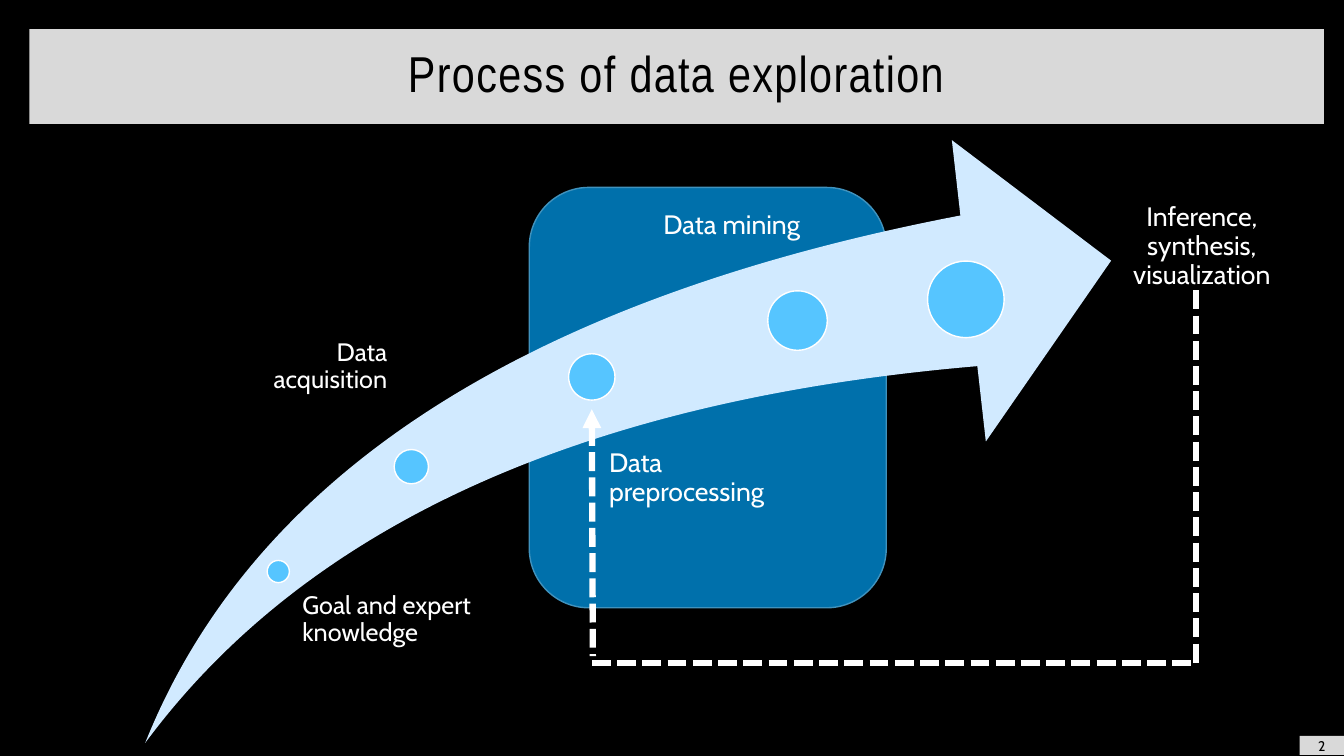
"""Build the slide on the process of data exploration."""
from lxml import etree
from pptx import Presentation
from pptx.dml.color import RGBColor
from pptx.enum import shapes, text
from pptx.oxml.ns import qn
from pptx.util import Inches, Pt

TITLE = "Process of data exploration"
PAGE = "2"
HUES = dict(back="000000", white="FFFFFF", ink="000000", panel="0070AB",
            edge="4092BD", arrow="D1EAFF", dot="56C5FF")
BAR = (0.29, 0.29, 12.84, 0.94)
PANEL = (5.25, 1.86, 3.54, 4.17)
SWOOSH = (1.44, 1.39, 9.58, 5.98)
BADGE = (12.89, 7.3, 0.44, 0.19)
# STEPS
DOTS = [(2.76, 5.67, 0.22), (4.08, 4.63, 0.34), (5.87, 3.74, 0.46),
        (7.91, 3.18, 0.59), (9.58, 2.97, 0.76)]
LABELS = [
    ("Goal and expert knowledge", (2.88, 5.88, 2.46, 0.64), 0.12, 18, "LEFT"),
    ("Data acquisition", (2.25, 3.37, 1.59, 0.93), 0.18, 18, "RIGHT"),
    ("Data preprocessing", (5.8, 4.46, 1.85, 1.99), 0.24, 19, "LEFT"),
    ("Data mining", (6.27, 2.1, 1.92, 1.82), 0.31, 19, "LEFT"),
    ("Inference, synthesis, visualization", (10.76, 2.02, 1.92, 4.4),
     0.4, 19, "CENTER"),
]
LOOP = [((11.86, 2.88), (11.86, 6.58), False),
        ((5.87, 6.58), (11.86, 6.58), False),
        ((5.87, 4.06), (5.88, 6.51), True)]
KIND = shapes.MSO_SHAPE


def hue(name):
    return RGBColor.from_string(HUES[name])


def paint(item, fill, line=None, alpha=None):
    item.fill.solid()
    item.fill.fore_color.rgb = hue(fill)
    if alpha:
        tint = item.fill._xPr.find(qn("a:solidFill"))[0]
        etree.SubElement(tint, qn("a:alpha"), val=str(alpha * 1000))
    if line:
        item.line.color.rgb = hue(line)
        item.line.width = Pt(1)
    else:
        item.line.fill.background()


def draw(slide, kind, box, *look):
    item = slide.shapes.add_shape(kind, *map(Inches, box))
    item.shadow.inherit = False
    paint(item, *look)
    return item


def write(item, words, size, color, align, font="Cabin", space=0.9,
          anchor="TOP", inset=None):
    frame = item.text_frame
    form = dict(word_wrap=True, auto_size=text.MSO_AUTO_SIZE.NONE,
                vertical_anchor=text.MSO_ANCHOR[anchor])
    if inset is not None:
        form.update(margin_left=Inches(inset), margin_top=0,
                    margin_right=0, margin_bottom=0)
    for key, val in form.items():
        setattr(frame, key, val)
    para = frame.paragraphs[0]
    para.alignment = text.PP_ALIGN[align]
    para.line_spacing = space
    run = para.add_run()
    run.text = words
    for key, val in dict(name=font, size=Pt(size), bold=False).items():
        setattr(run.font, key, val)
    run.font.color.rgb = hue(color)
    return run


def dash(slide, start, end, head):
    line = slide.shapes.add_connector(
        shapes.MSO_CONNECTOR.STRAIGHT, *map(Inches, start + end))
    line.line.color.rgb = hue("white")
    line.line.width = Pt(4.5)
    props = line._element.spPr
    stroke = props.find(qn("a:ln"))
    etree.SubElement(stroke, qn("a:prstDash"), val="sysDash")
    if head:
        etree.SubElement(stroke, qn("a:headEnd"), type="triangle")
    etree.SubElement(props, qn("a:effectLst"))


def main():
    deck = Presentation()
    deck.slide_width, deck.slide_height = Inches(13.33), Inches(7.5)
    slide = deck.slides.add_slide(deck.slide_layouts[5])
    slide.background.fill.solid()
    slide.background.fill.fore_color.rgb = hue("back")

    title = slide.shapes.title
    for key, val in zip(("left", "top", "width", "height"), BAR):
        setattr(title, key, Inches(val))
    paint(title, "white", None, 85)
    run = write(title, TITLE, 36, "ink", "CENTER", "Arial Narrow",
                anchor="MIDDLE")
    run.font._element.set("spc", "100")

    draw(slide, KIND.ROUNDED_RECTANGLE, PANEL, "panel", "edge")
    swoosh = draw(slide, KIND.SWOOSH_ARROW, SWOOSH, "arrow")
    for i in range(2):
        swoosh.adjustments[i] = 0.25
    for x, y, size in DOTS:
        box = (x - size / 2, y - size / 2, size, size)
        draw(slide, KIND.OVAL, box, "dot", "white")
    for words, box, inset, size, align in LABELS:
        note = slide.shapes.add_textbox(*map(Inches, box))
        write(note, words, size, "white", align, inset=inset)
    for part in LOOP:
        dash(slide, *part)
    badge = draw(slide, KIND.RECTANGLE, BADGE, "white", None, 85)
    write(badge, PAGE, 10, "ink", "CENTER", space=1.0, anchor="MIDDLE")
    deck.save("out.pptx")


if __name__ == "__main__":
    main()
